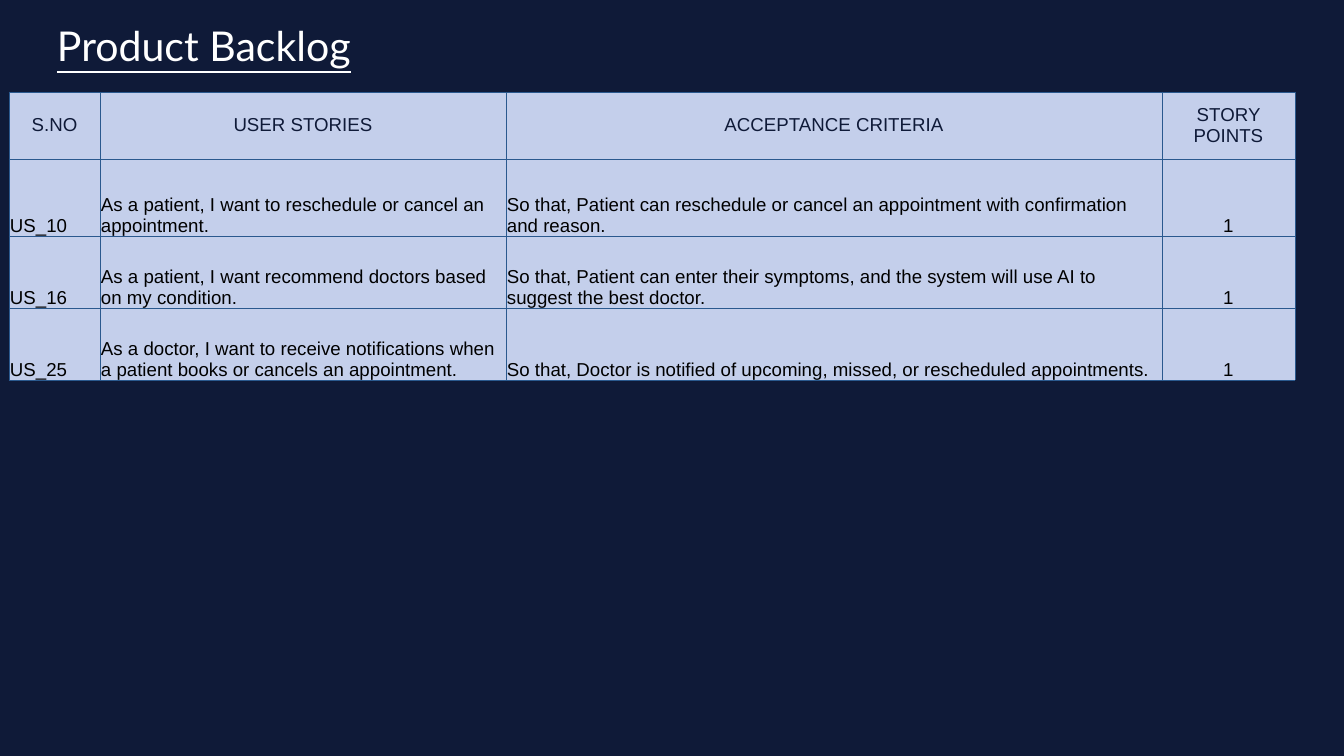
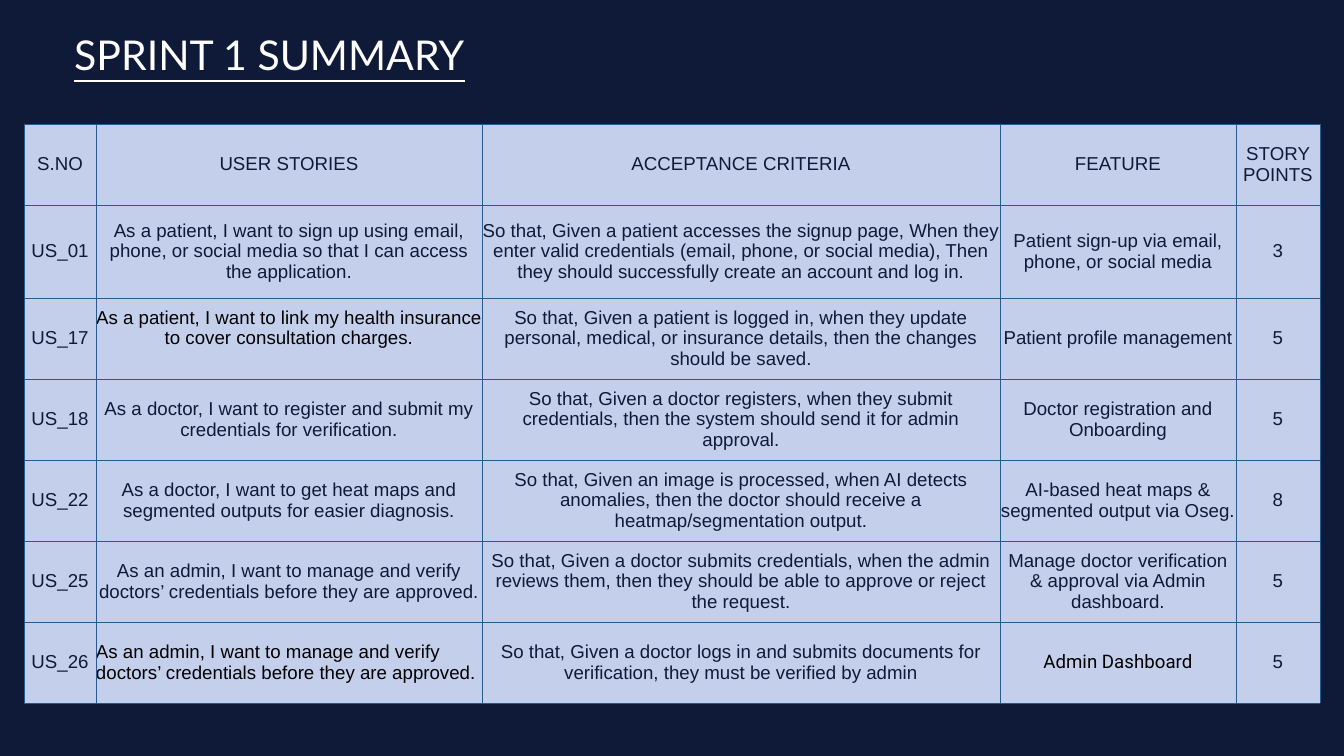
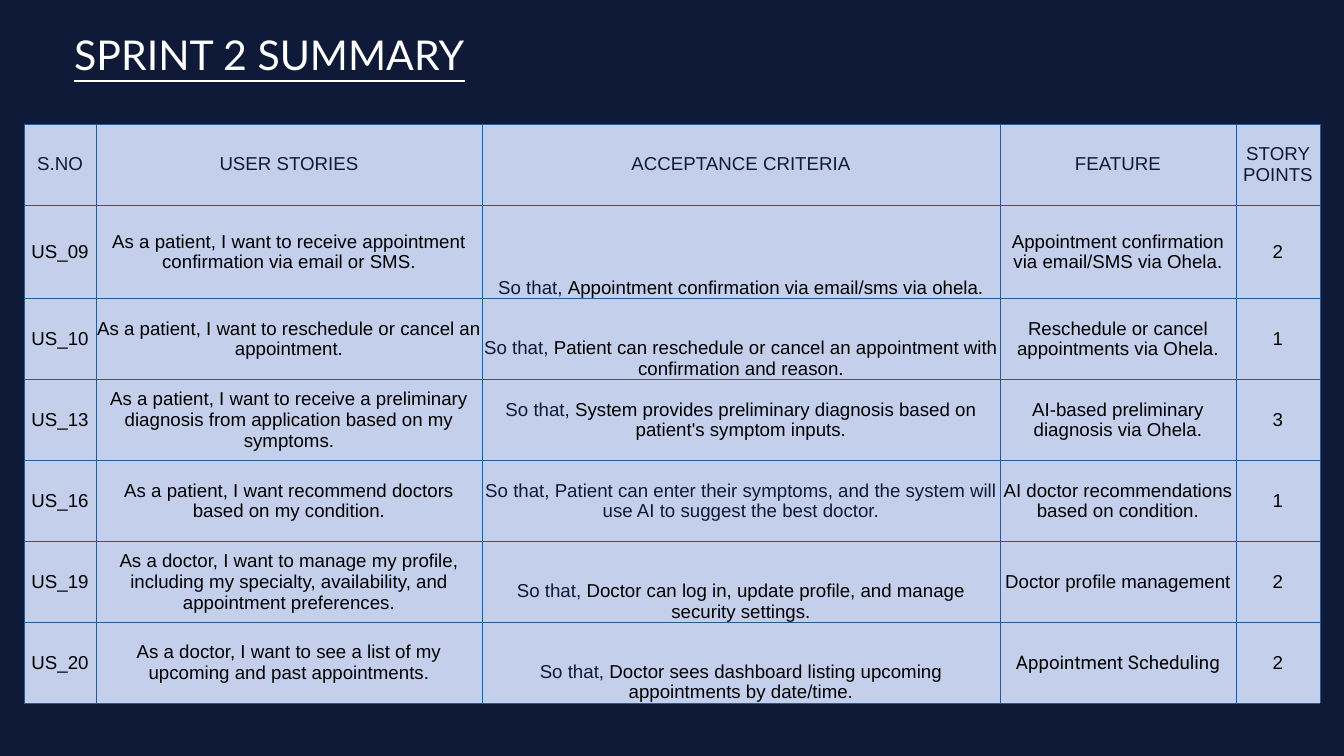
import dataclasses

import pptx
import pptx.dml.color
import pptx.enum.text
import pptx.oxml
import pptx.oxml.ns
import pptx.util

PX = 13607  # EMU in one px, at 67.2 px to the inch
ALIGN = pptx.enum.text.PP_ALIGN
ANCHOR = pptx.enum.text.MSO_ANCHOR
RGB = pptx.dml.color.RGBColor.from_string


@dataclasses.dataclass(frozen=True)
class Theme:
    navy: str = "0F1A38"
    black: str = "000000"
    white: str = "FFFFFF"
    cell: str = "C4CFEB"
    border: str = "2A598E"
    title_font: str = "Lato"
    table_font: str = "Arial"
    accent_font: str = "Roboto"
    title_size: int = 44
    table_size: int = 20
    border_width: float = 0.75


theme = Theme()
LEAD = "So that, "

SPRINT = {
    "title_box": (-14, 0, 567, 108),
    "origin": (24, 124),
    "columns": (72, 386, 518, 236, 84),
    "row_heights": (81, 93, 81, 81, 81, 81, 81),
    "header": ("S.NO", "USER STORIES", "ACCEPTANCE CRITERIA", "FEATURE", "STORY POINTS"),
    "alignments": (ALIGN.CENTER,) * 5,
    "anchor": ANCHOR.MIDDLE,
    "lead_color": theme.navy,
}

# "special" holds what differs from the rest of the table, by (row, column)
SLIDES = [
    {
        "title": "Product Backlog",
        "title_box": (0, -9, 408, 108),
        "origin": (9, 92),
        "columns": (91, 406, 656, 133),
        "row_heights": (67, 77, 72, 72),
        "header": ("S.NO", "USER STORIES", "ACCEPTANCE CRITERIA", "STORY POINTS"),
        "alignments": (ALIGN.LEFT, ALIGN.LEFT, ALIGN.LEFT, ALIGN.CENTER),
        "anchor": ANCHOR.BOTTOM,
        "color": theme.black,
        "lead_color": theme.black,
        "inset": 1,
        "rows": [
            ("US_10", "As a patient, I want to reschedule or cancel an appointment.",
             "So that, Patient can reschedule or cancel an appointment with confirmation and reason.",
             "1"),
            ("US_16", "As a patient, I want recommend doctors based on my condition.",
             "So that, Patient can enter their symptoms, and the system will use AI to suggest "
             "the best doctor.", "1"),
            ("US_25", "As a doctor, I want to receive notifications when a patient books or "
             "cancels an appointment.",
             "So that, Doctor is notified of upcoming, missed, or rescheduled appointments.", "1"),
        ],
        "special": {},
    },
    SPRINT | {
        "title": "SPRINT 1 SUMMARY",
        "color": theme.navy,
        "inset": 0,
        "rows": [
            ("US_01", "As a patient, I want to sign up using email, phone, or social media so "
             "that I can access the application.",
             "So that, Given a patient accesses the signup page, When they enter valid "
             "credentials (email, phone, or social media), Then they should successfully "
             "create an account and log in.",
             "Patient sign-up via email, phone, or social media", "3"),
            ("US_17", "As a patient, I want to link my health insurance to cover consultation "
             "charges.",
             "So that, Given a patient is logged in, when they update personal, medical, or "
             "insurance details, then the changes should be saved.",
             "Patient profile management", "5"),
            ("US_18", "As a doctor, I want to register and submit my credentials for "
             "verification.",
             "So that, Given a doctor registers, when they submit credentials, then the "
             "system should send it for admin approval.",
             "Doctor registration and Onboarding", "5"),
            ("US_22", "As a doctor, I want to get heat maps and segmented outputs for easier "
             "diagnosis.",
             "So that, Given an image is processed, when AI detects anomalies, then the "
             "doctor should receive a heatmap/segmentation output.",
             "AI-based heat maps & segmented output via Oseg.", "8"),
            ("US_25", "As an admin, I want to manage and verify doctors’ credentials before "
             "they are approved.",
             "So that, Given a doctor submits credentials, when the admin reviews them, then "
             "they should be able to approve or reject the request.",
             "Manage doctor verification & approval via Admin dashboard.", "5"),
            ("US_26", "As an admin, I want to manage and verify doctors’ credentials before "
             "they are approved.",
             "So that, Given a doctor logs in and submits documents for verification, they "
             "must be verified by admin",
             "Admin Dashboard", "5"),
        ],
        "special": {
            (2, 1): {"color": theme.black, "bottom": 21},
            (6, 1): {"color": theme.black, "alignment": ALIGN.LEFT},
            (6, 3): {"color": theme.black, "font": theme.accent_font},
        },
    },
    SPRINT | {
        "title": "SPRINT 2 SUMMARY",
        "color": theme.black,
        "inset": 1,
        "rows": [
            ("US_09", "As a patient, I want to receive appointment confirmation via email or SMS.",
             "So that, Appointment confirmation via email/sms via ohela.",
             "Appointment confirmation via email/SMS via Ohela.", "2"),
            ("US_10", "As a patient, I want to reschedule or cancel an appointment.",
             "So that, Patient can reschedule or cancel an appointment with confirmation and "
             "reason.",
             "Reschedule or cancel appointments via Ohela.", "1"),
            ("US_13", "As a patient, I want to receive a preliminary diagnosis from "
             "application based on my symptoms.",
             "So that, System provides preliminary diagnosis based on patient's symptom inputs.",
             "AI-based preliminary diagnosis via Ohela.", "3"),
            ("US_16", "As a patient, I want recommend doctors based on my condition.",
             "So that, Patient can enter their symptoms, and the system will use AI to "
             "suggest the best doctor.",
             "AI doctor recommendations based on condition.", "1"),
            ("US_19", "As a doctor, I want to manage my profile, including my specialty, "
             "availability, and appointment preferences.",
             "So that, Doctor can log in, update profile, and manage security settings.",
             "Doctor profile management", "2"),
            ("US_20", "As a doctor, I want to see a list of my upcoming and past appointments.",
             "So that, Doctor sees dashboard listing upcoming appointments by date/time.",
             "Appointment Scheduling", "2"),
        ],
        "special": {
            **{(row, 2): {"anchor": ANCHOR.BOTTOM} for row in (1, 2, 5, 6)},
            (4, 2): {"color": theme.navy},
            (6, 3): {"font": theme.accent_font},
        },
    },
]


def add_borders(cell):
    properties = cell._tc.get_or_add_tcPr()
    width = int(pptx.util.Pt(theme.border_width))
    for side in ("lnL", "lnR", "lnT", "lnB"):
        properties.append(pptx.oxml.parse_xml(
            f'<a:{side} {pptx.oxml.ns.nsdecls("a")} w="{width}"><a:solidFill>'
            f'<a:srgbClr val="{theme.border}"/></a:solidFill></a:{side}>'))


def fill_cell(cell, text, style):
    add_borders(cell)
    cell.fill.solid()
    cell.fill.fore_color.rgb = RGB(theme.cell)
    cell.vertical_anchor = style["anchor"]
    cell.margin_left = cell.margin_right = cell.margin_top = style["inset"] * PX
    cell.margin_bottom = style["bottom"] * PX

    paragraph = cell.text_frame.paragraphs[0]
    paragraph.alignment = style["alignment"]
    paragraph.font.name = style["font"]
    paragraph.font.size = pptx.util.Pt(theme.table_size)
    paragraph.font.color.rgb = RGB(style["color"])
    if text.startswith(LEAD) and style["lead_color"] != style["color"]:
        lead = paragraph.add_run()
        lead.text = LEAD
        lead.font.color.rgb = RGB(style["lead_color"])
        text = text.removeprefix(LEAD)
    paragraph.add_run().text = text


presentation = pptx.Presentation()
presentation.slide_width = pptx.util.Inches(20)
presentation.slide_height = pptx.util.Inches(11.25)
background = presentation.slide_master.background.fill
background.solid()
background.fore_color.rgb = RGB(theme.navy)
title_only = presentation.slide_layouts.get_by_name("Title Only")

for content in SLIDES:
    slide = presentation.slides.add_slide(title_only)

    title = slide.shapes.title
    title.left, title.top, title.width, title.height = (
        length * PX for length in content["title_box"])
    title.text_frame.text = content["title"]
    title.text_frame.auto_size = pptx.enum.text.MSO_AUTO_SIZE.NONE
    title.text_frame.vertical_anchor = ANCHOR.MIDDLE
    paragraph = title.text_frame.paragraphs[0]
    paragraph.alignment = ALIGN.CENTER
    paragraph.font.name = theme.title_font
    paragraph.font.size = pptx.util.Pt(theme.title_size)
    paragraph.font.underline = True
    paragraph.font.color.rgb = RGB(theme.white)

    left, top = content["origin"]
    columns, heights = content["columns"], content["row_heights"]
    table = slide.shapes.add_table(
        len(heights), len(columns), left * PX, top * PX,
        sum(columns) * PX, sum(heights) * PX).table
    table.first_row = table.horz_banding = False
    for column, width in zip(table.columns, columns):
        column.width = width * PX
    for row, height in zip(table.rows, heights):
        row.height = height * PX

    header_style = {
        "anchor": ANCHOR.MIDDLE, "alignment": ALIGN.CENTER, "inset": 0, "bottom": 0,
        "font": theme.table_font, "color": theme.navy, "lead_color": theme.navy,
    }
    body_style = header_style | {
        key: content[key] for key in ("anchor", "inset", "color", "lead_color")}
    for column_index, text in enumerate(content["header"]):
        fill_cell(table.cell(0, column_index), text, header_style)
    for row_index, texts in enumerate(content["rows"], start=1):
        for column_index, text in enumerate(texts):
            style = body_style | {"alignment": content["alignments"][column_index]}
            style |= content["special"].get((row_index, column_index), {})
            fill_cell(table.cell(row_index, column_index), text, style)

presentation.save("out.pptx")
